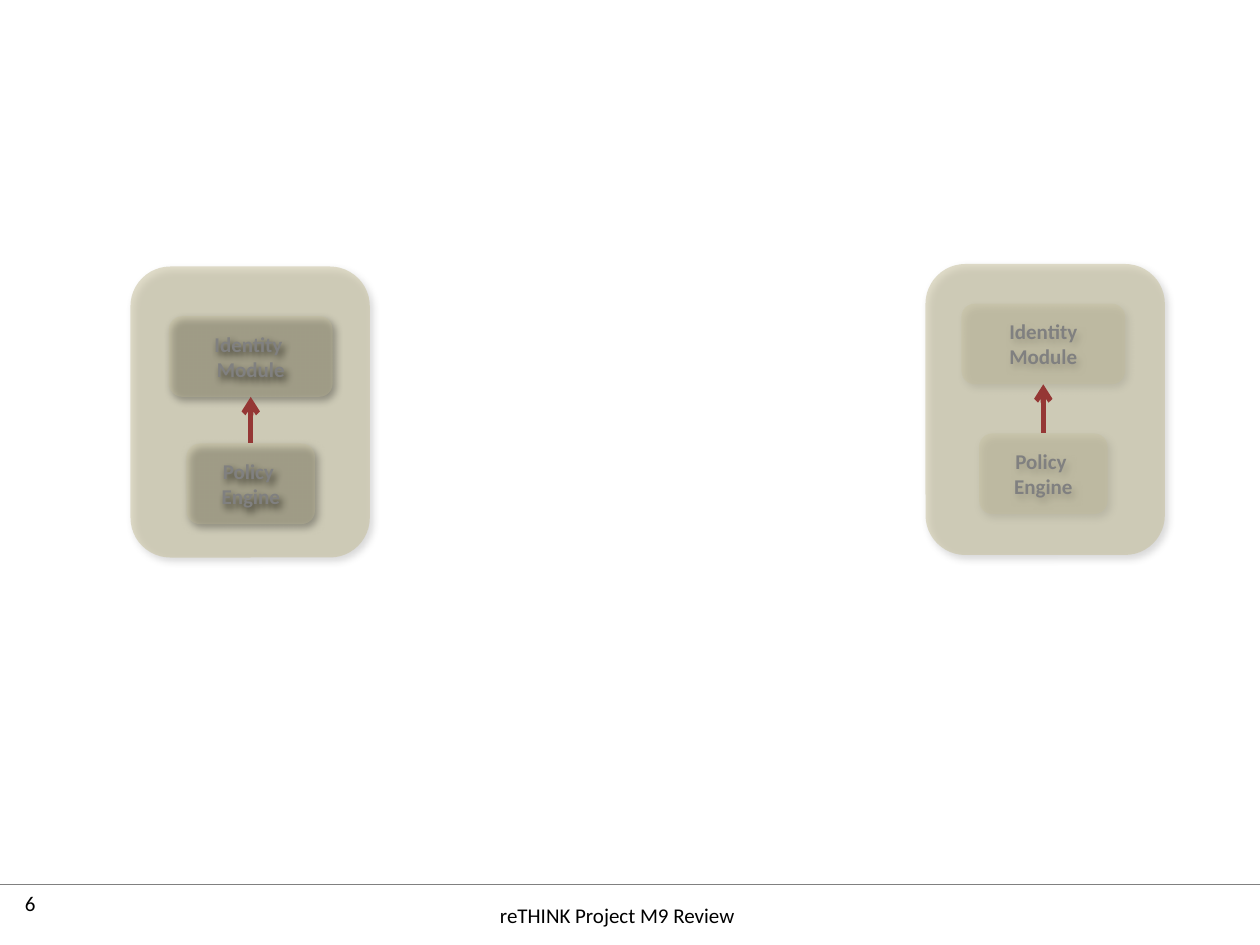
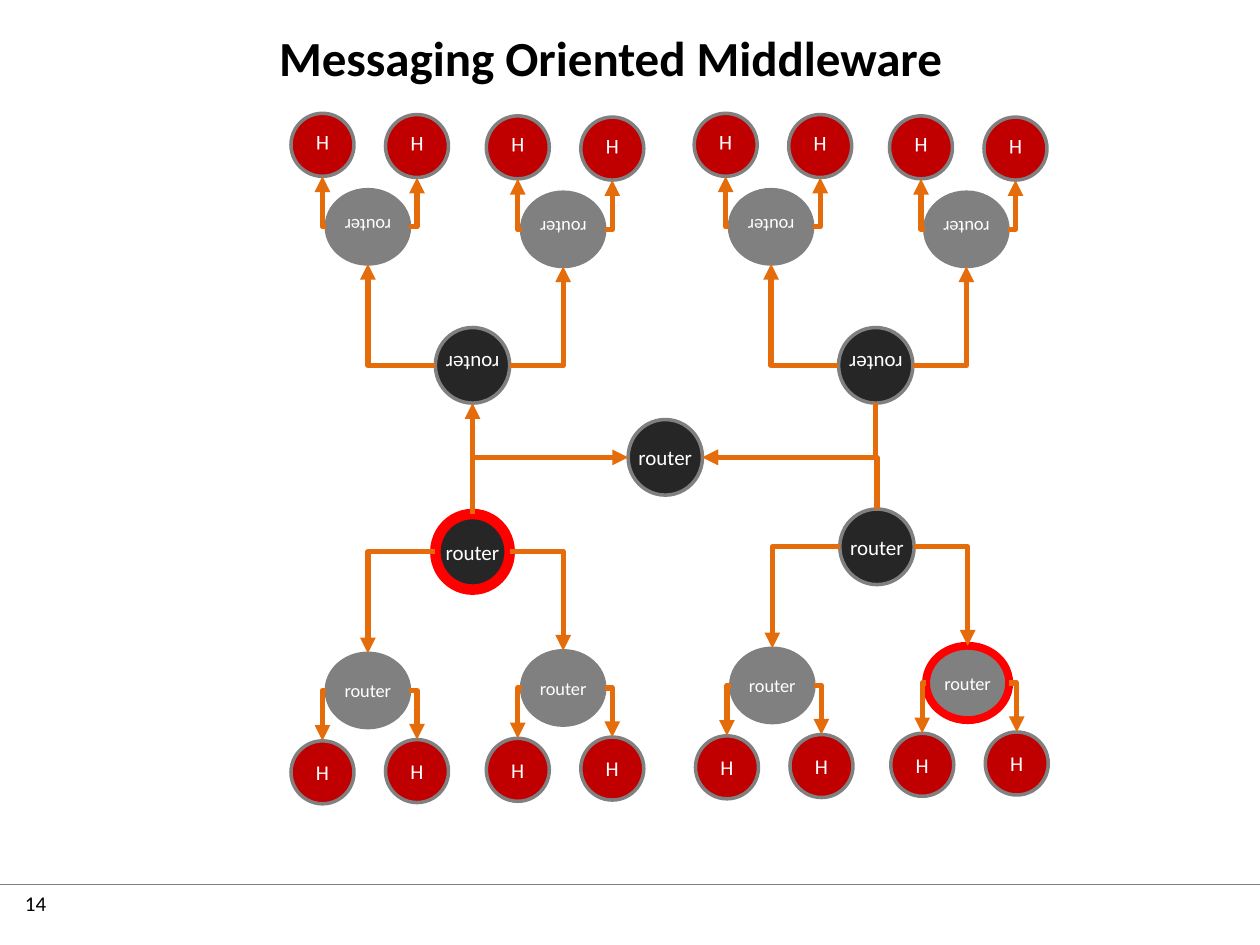
from lxml import etree
from pptx import Presentation
from pptx.dml.color import RGBColor
from pptx.enum.shapes import MSO_CONNECTOR, MSO_SHAPE
from pptx.enum.text import MSO_ANCHOR, PP_ALIGN
from pptx.oxml import parse_xml
from pptx.oxml.ns import nsdecls, qn
from pptx.util import Inches, Pt

STRAIGHT, ELBOW = MSO_CONNECTOR.STRAIGHT, MSO_CONNECTOR.ELBOW
ROUNDED, OVAL = MSO_SHAPE.ROUNDED_RECTANGLE, MSO_SHAPE.OVAL
MIDDLE, TOP = MSO_ANCHOR.MIDDLE, MSO_ANCHOR.TOP
CENTER, LEFT = PP_ALIGN.CENTER, PP_ALIGN.LEFT

FONT = "Calibri"
BLACK, WHITE, GRAY, DARK = "000000", "FFFFFF", "808080", "262626"
SAND, BROWN, ORANGE = "C4BD97", "953735", "E46C0A"
HOST_RED, ALERT_RED = "C00000", "FF0000"
rgb = RGBColor.from_string


def write(shape, text, size, color, bold=False, align=CENTER, anchor=MIDDLE, inset=None):
    frame = shape.text_frame
    frame.vertical_anchor = anchor
    if inset is not None:
        frame.margin_left = frame.margin_right = Inches(inset)
        frame.margin_top = frame.margin_bottom = Inches(inset)
        frame.word_wrap = False
    paragraph = frame.paragraphs[0]
    paragraph.text = text
    paragraph.alignment = align
    font = paragraph.font
    font.name, font.size, font.bold = FONT, Pt(size), bold
    font.color.rgb = rgb(color)


def link(slide, kind, start, end, color, width, **heads):
    """Draw a line; headEnd puts an arrow at the start, tailEnd at the end."""
    line = slide.shapes.add_connector(kind, *map(Inches, start + end))
    line.line.color.rgb = rgb(color)
    line.line.width = Pt(width)
    properties = line._element.spPr
    if kind == ELBOW:  # a single corner: horizontal first, then vertical
        properties.find(qn("a:prstGeom")).set("prst", "bentConnector2")
    for tag, style in heads.items():
        etree.SubElement(properties.find(qn("a:ln")), qn("a:" + tag), type=style)
    etree.SubElement(properties, qn("a:effectLst"))


prs = Presentation()
prs.slide_width, prs.slide_height = Inches(10), Inches(7.5)
policy_slide = prs.slides.add_slide(prs.slide_layouts[6])
middleware_slide = prs.slides.add_slide(prs.slide_layouts[5])

# Shared footer: rule and page number
for slide, number in ((policy_slide, "6"), (middleware_slide, "14")):
    page = slide.shapes.add_textbox(Inches(0.1), Inches(7.02), Inches(0.8), Inches(0.4))
    page.text_frame.word_wrap = True
    write(page, number, 12, BLACK, align=LEFT, anchor=TOP)
    link(slide, STRAIGHT, (0, 7.02), (10, 7.02), GRAY, 0.75)

# Slide 1: review footer
review = policy_slide.shapes.add_textbox(Inches(0.47), Inches(7.06), Inches(8.86), Inches(0.4))
review.text_frame.word_wrap = True
write(review, "reTHINK Project M9 Review", 12, BLACK)

# Slide 1: two endpoints, each with a policy engine calling an identity module
endpoints = [
    # panel, identity module, policy engine, module opacity, label, arrow
    ((0.83, 2.32), (1.67, 2.18), (1.67, 3.33), 30, "Identity \nModule", (1.99, 3.15, 3.52)),
    ((7.14, 2.3), (7.96, 2.08), (7.96, 3.25), 29, "Identity\nModule", (8.28, 3.05, 3.44)),
]
for panel, identity, policy, opacity, identity_label, (arrow_x, tip, foot) in endpoints:
    for (left, top), (width, height), alpha, label in (
        (panel, (2.31, 1.9), 51, ""),
        (identity, (0.64, 1.3), opacity, identity_label),
        (policy, (0.64, 1.02), opacity, "Policy \nEngine"),
    ):
        box = policy_slide.shapes.add_shape(
            ROUNDED, Inches(left), Inches(top), Inches(width), Inches(height))
        box.rotation = 90
        box.fill.solid()
        box.fill.fore_color.rgb = rgb(SAND)
        box.line.fill.background()
        tint = box._element.spPr.find(qn("a:solidFill"))[0]
        etree.SubElement(tint, qn("a:alpha"), val=str(alpha * 1000))
        box._element.spPr.append(parse_xml(
            f'<a:effectLst {nsdecls("a")}><a:outerShdw blurRad="{Pt(4.5)}" dist="{Pt(2.6)}" '
            f'dir="{53 * 60000}" rotWithShape="0"><a:srgbClr val="{BLACK}">'
            '<a:alpha val="30000"/></a:srgbClr></a:outerShdw></a:effectLst>'))
        if label:
            box.text_frame._txBody.bodyPr.set("vert", "vert270")
            write(box, label, 12, GRAY, bold=True, inset=0)
    link(policy_slide, STRAIGHT, (arrow_x, tip), (arrow_x, foot), BROWN, 3, headEnd="arrow")

# Slide 2: title
title = middleware_slide.shapes.title
title.left, title.top = Inches(0.91), Inches(0.19)
title.width, title.height = Inches(7.87), Inches(0.52)
write(title, "Messaging Oriented Middleware", 28, BLACK, bold=True)

# Slide 2: node kinds as width, height, fill, label, text size
HUB = (0.59, 0.6, DARK, "router", 12)
LEAF = (0.66, 0.59, GRAY, "router", 10.5)
HOST = (0.5, 0.5, HOST_RED, "H", 12)
NORMAL, HUB_ALERT, LEAF_ALERT = (GRAY, 2), (ALERT_RED, 6), (ALERT_RED, 4.5)

# Each quadrant: hub centre, direction of its tree (1 down, -1 up), hub and leaf outlines
quadrants = [
    (6.96, 4.34, 1, NORMAL, (NORMAL, LEAF_ALERT)),
    (3.75, 4.38, 1, HUB_ALERT, (NORMAL, NORMAL)),
    (6.95, 2.9, -1, NORMAL, (NORMAL, NORMAL)),
    (3.75, 2.9, -1, NORMAL, (NORMAL, NORMAL)),
]
core_x, core_y = 5.28, 3.63
nodes = [(core_x, core_y, 1, HUB, NORMAL)]
branches = []
for hub_x, hub_y, way, hub_outline, leaf_outlines in quadrants:
    nodes.append((hub_x, hub_y, way, HUB, hub_outline))
    for side, leaf_dx, leaf_dy, outline in zip(
            (-1, 1), (-0.83, 0.72), (1.1, 1.08), leaf_outlines):
        leaf_x, leaf_y = hub_x + leaf_dx, hub_y + way * leaf_dy
        nodes.append((leaf_x, leaf_y, way, LEAF, outline))
        branches.append(((hub_x + side * HUB[0] / 2, hub_y),
                         (leaf_x, leaf_y - way * LEAF[1] / 2)))
        for host_side, host_dx, host_dy in ((-1, -0.36, 0.65), (1, 0.39, 0.64)):
            host_x, host_y = leaf_x + host_dx, leaf_y + way * host_dy
            nodes.append((host_x, host_y, way, HOST, NORMAL))
            branches.append(((leaf_x + host_side * LEAF[0] / 2, leaf_y),
                             (host_x, host_y - way * HOST[1] / 2)))

for x, y, way, (width, height, fill, label, size), (outline, weight) in nodes:
    node = middleware_slide.shapes.add_shape(
        OVAL, Inches(x - width / 2), Inches(y - height / 2), Inches(width), Inches(height))
    node.shadow.inherit = False
    node.fill.solid()
    node.fill.fore_color.rgb = rgb(fill)
    node.line.color.rgb = rgb(outline)
    node.line.width = Pt(weight)
    if way < 0:  # upper trees are mirrored
        node._element.spPr.find(qn("a:xfrm")).set("flipV", "1")
    write(node, label, size, WHITE, inset=0)

# Slide 2: branches of the trees, then the links between hubs and core
for start, end in branches:
    link(middleware_slide, ELBOW, start, end, ORANGE, 3, tailEnd="triangle")
core_left, core_right = core_x - HUB[0] / 2, core_x + HUB[0] / 2
link(middleware_slide, ELBOW, (core_left, core_y), (3.75, 4.08), ORANGE, 3, headEnd="triangle")
link(middleware_slide, STRAIGHT, (3.75, 3.2), (3.75, 4.08), ORANGE, 3, headEnd="triangle")
for hub_x, hub_edge in ((6.96, 4.04), (6.95, 3.2)):
    link(middleware_slide, ELBOW, (core_right, core_y), (hub_x, hub_edge), ORANGE, 3,
         headEnd="triangle")

prs.save("out.pptx")
